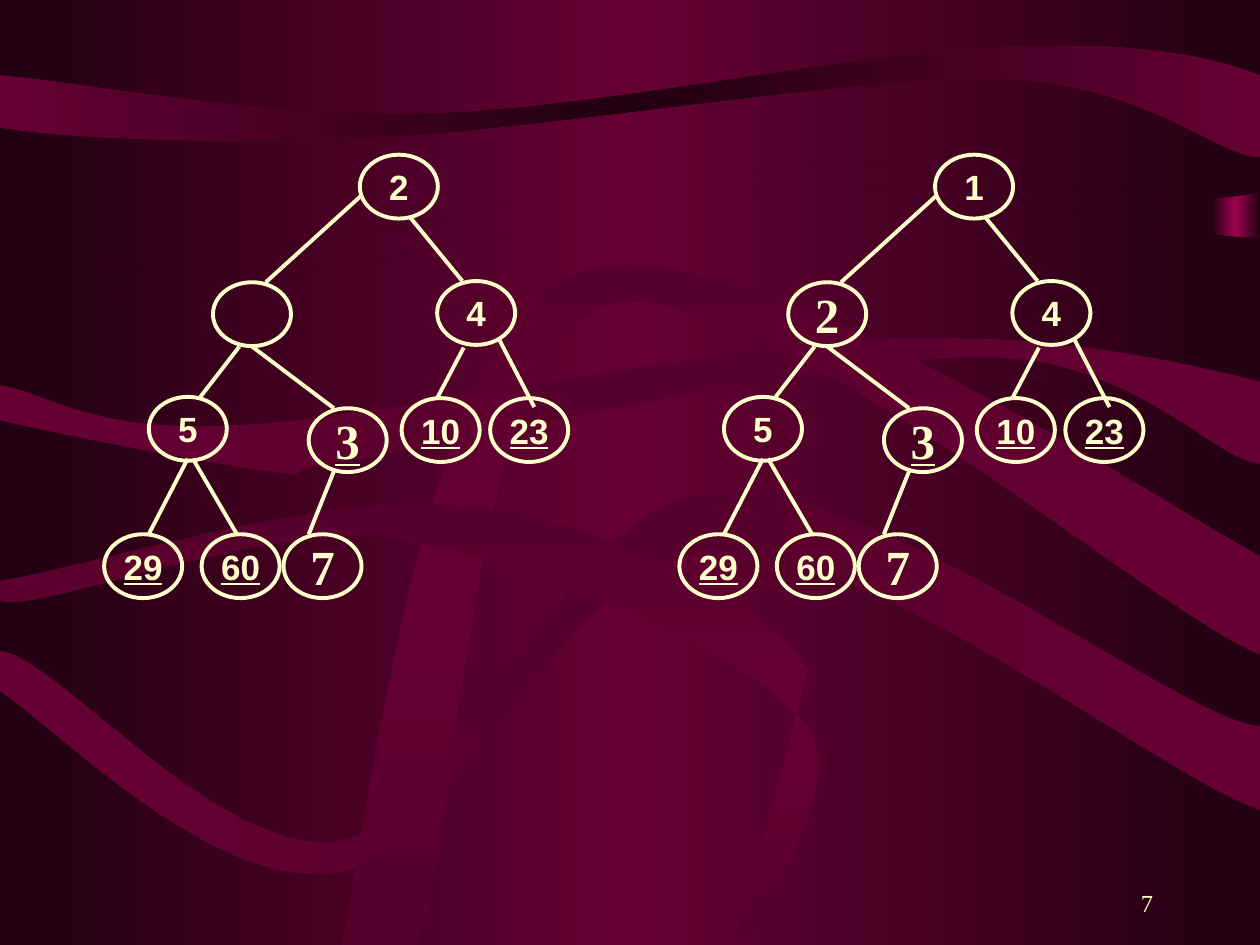
from copy import deepcopy
from dataclasses import dataclass

from pptx import Presentation
from pptx.dml.color import RGBColor
from pptx.enum import shapes, text
from pptx.oxml import ns, xmlchemy
from pptx.util import Pt


@dataclass(frozen=True)
class Theme:
    cream: str = "FFFFCC"
    night: str = "220011"
    wine: str = "660033"
    plum: str = "56002B"
    magenta: str = "9C004E"
    sans: str = "Arial"
    serif: str = "Times New Roman"
    label: int = 20
    large: int = 28
    number: int = 14
    stroke: float = 2.25


THEME = Theme()

PANELS = [
    [(0, 0), (720, 0), (720, 109), (675, 125, 570, 88, 450, 95),
     (330, 102, 75, 168, 0, 152), (0, 0)],
    [(0, 164), (128, 176, 245, 140, 330, 125), (330, 125, 408, 114, 422, 112),
     (515, 91, 660, 136, 720, 136), (720, 540), (0, 540), (0, 540, 0, 164, 0, 164)],
]
TOP_RIBBON = [
    (0, 43), (0, 73), (37, 79, 127, 83, 222, 78), (317, 73, 489, 43, 572, 45),
    (654, 47, 696, 90, 720, 90), (720, 43), (695, 33, 649, 23, 570, 27),
    (491, 30, 343, 62, 248, 65), (153, 68, 52, 48, 0, 43)]
MIDDLE_RIBBON = [
    (0, 220), (0, 240), (27, 247, 126, 266, 160, 270),
    (194, 274, 137, 273, 203, 262), (270, 251, 475, 203, 562, 204),
    (648, 204, 693, 263, 720, 265), (720, 218), (684, 209, 602, 189, 505, 194),
    (408, 197, 221, 239, 137, 243), (53, 248, 29, 225, 0, 220)]
ARCH_RIBBON = [
    (195, 540), (210, 476, 239, 194, 327, 157), (414, 120, 654, 282, 720, 318),
    (720, 374), (657, 349, 426, 148, 345, 175), (265, 203, 264, 480, 238, 540),
    (195, 540)]
WAVE_RIBBON = [
    (0, 372), (0, 395), (32, 416, 125, 512, 194, 498),
    (261, 485, 319, 321, 407, 315), (495, 309, 667, 446, 720, 463), (720, 415),
    (675, 412, 498, 271, 405, 282), (318, 292, 264, 465, 197, 480),
    (129, 495, 32, 374, 0, 372)]
LOW_RIBBON = [
    (0, 332), (0, 343), (19, 352, 150, 297, 226, 308),
    (302, 320, 426, 373, 459, 412), (491, 450, 419, 545, 420, 540), (462, 383),
    (436, 341, 341, 297, 264, 289), (186, 280, 55, 323, 0, 332)]

BIG = dict(font=THEME.serif, size=THEME.large)
LINKED = dict(underline=True)
TREE_STEP = 328.7


def tree_parts(root, left):
    return [
        ("5", 85, 226.8, {}), ("4", 249.8, 160.6, {}),
        ("23", 280.1, 227.5, LINKED), ("3", 176.4, 233.3, BIG | LINKED),
        (left, 121.7, 161.3, BIG),
        (205.9, 112.3, 151.9, 161.3), (234.7, 124.6, 264.2, 160.6),
        (144, 198, 190.8, 233.3),
        (root, 205.6, 88.4, {}),
        (136.8, 198, 114.5, 226.8),
        ("10", 229.5, 227.5, LINKED), ("29", 59.5, 305.3, LINKED),
        (107.3, 262.1, 85, 305.3), (285.1, 193.7, 305.3, 232.6),
        (265, 198.7, 249.8, 227.5),
        ("60", 115.2, 305.3, LINKED),
        (110.2, 262.1, 135.4, 305.3),
        ("7", 162, 305.3, BIG),
        (190.8, 269.3, 176.4, 305.3),
    ]


def curve(outline, parts):
    lines = iter(outline.findall(ns.qn("a:lnTo")))
    for part in parts:
        first = next(lines)
        if len(part) == 6:
            bend = xmlchemy.OxmlElement("a:cubicBezTo")
            first.addprevious(bend)
            for line in (first, next(lines), next(lines)):
                bend.append(line[0])
                outline.remove(line)


def blend(fill, element, edge, middle, angle=0):
    fill.gradient()
    fill.gradient_angle = angle
    stops = element.find(".//" + ns.qn("a:gsLst"))
    stops.insert(1, deepcopy(stops[0]))
    for stop, place, color in zip(fill.gradient_stops, (0, 0.5, 1), (edge, middle, edge)):
        stop.position = place
        stop.color.rgb = RGBColor.from_string(color)


def write(tf, words, font=THEME.sans, size=THEME.label, bold=True, underline=None,
          align=text.PP_ALIGN.CENTER, anchor=text.MSO_ANCHOR.MIDDLE, inset=(3.6, 2.2)):
    tf.margin_left = tf.margin_right = Pt(inset[0])
    tf.margin_top = tf.margin_bottom = Pt(inset[1])
    tf.word_wrap = True
    tf.vertical_anchor = anchor
    p = tf.paragraphs[0]
    p.alignment = align
    r = p.add_run()
    r.text = words
    r.font.name, r.font.size = font, Pt(size)
    r.font.bold, r.font.underline = bold, underline
    r.font.color.rgb = RGBColor.from_string(THEME.cream)


class Deck:
    def __init__(self, theme):
        self.theme = theme
        self.prs = Presentation()
        self.prs.slide_width, self.prs.slide_height = Pt(720), Pt(540)
        self.s = self.prs.slides.add_slide(self.prs.slide_layouts[6])

    def background(self, edge, middle):
        blend(self.s.background.fill, self.s.element, edge, middle)

    def decorate(self, sp, edge, middle, angle=0):
        sp.shadow.inherit = False
        sp.line.fill.background()
        blend(sp.fill, sp.element, edge, middle, angle)

    def block(self, x, y, w, h, edge, middle):
        sp = self.s.shapes.add_shape(shapes.MSO_SHAPE.RECTANGLE, Pt(x), Pt(y), Pt(w), Pt(h))
        self.decorate(sp, edge, middle)

    def ribbon(self, parts, edge, middle, angle=0):
        start, *rest = parts
        points = [part[i:i + 2] for part in rest for i in range(0, len(part), 2)]
        builder = self.s.shapes.build_freeform(*start, scale=Pt(1))
        builder.add_line_segments(points, close=True)
        sp = builder.convert_to_shape()
        curve(sp.element.find(".//" + ns.qn("a:path")), rest)
        self.decorate(sp, edge, middle, angle)

    def stroke(self, line):
        line.color.rgb = RGBColor.from_string(self.theme.cream)
        line.width = Pt(self.theme.stroke)

    def node(self, group, words, x, y, **style):
        sp = group.shapes.add_shape(shapes.MSO_SHAPE.OVAL, Pt(x), Pt(y), Pt(44.6), Pt(36.5))
        sp.shadow.inherit = False
        sp.fill.background()
        self.stroke(sp.line)
        if words:
            write(sp.text_frame, words, **style)

    def edge(self, group, *ends):
        line = group.shapes.add_connector(shapes.MSO_CONNECTOR.STRAIGHT, *map(Pt, ends))
        self.stroke(line.line)
        line.element.spPr.append(xmlchemy.OxmlElement("a:effectLst"))

    def tree(self, dx, root, left):
        group = self.s.shapes.add_group_shape()
        for part in tree_parts(root, left):
            if isinstance(part[0], str):
                words, x, y, style = part
                self.node(group, words, x + dx, y, **style)
            else:
                x1, y1, x2, y2 = part
                self.edge(group, x1 + dx, y1, x2 + dx, y2)

    def page_number(self, words):
        sp = self.s.shapes.add_textbox(Pt(516), Pt(492), Pt(150), Pt(36))
        write(sp.text_frame, words, font=self.theme.serif, size=self.theme.number, bold=None,
              align=text.PP_ALIGN.RIGHT, anchor=text.MSO_ANCHOR.BOTTOM, inset=(7.2, 3.6))


def main():
    t = THEME
    deck = Deck(t)
    deck.background(t.night, t.wine)
    deck.block(692, 35, 28, 248, t.night, t.magenta)
    for panel in PANELS:
        deck.ribbon(panel, t.night, t.wine)
    deck.ribbon(TOP_RIBBON, t.wine, t.night)
    deck.ribbon(MIDDLE_RIBBON, t.wine, t.plum)
    deck.ribbon(ARCH_RIBBON, t.plum, t.wine, 90)
    deck.ribbon(WAVE_RIBBON, t.wine, t.plum)
    deck.ribbon(LOW_RIBBON, t.plum, t.wine, 90)
    deck.page_number("7")
    deck.tree(0, "2", "")
    deck.tree(TREE_STEP, "1", "2")
    deck.prs.save("out.pptx")


if __name__ == "__main__":
    main()
